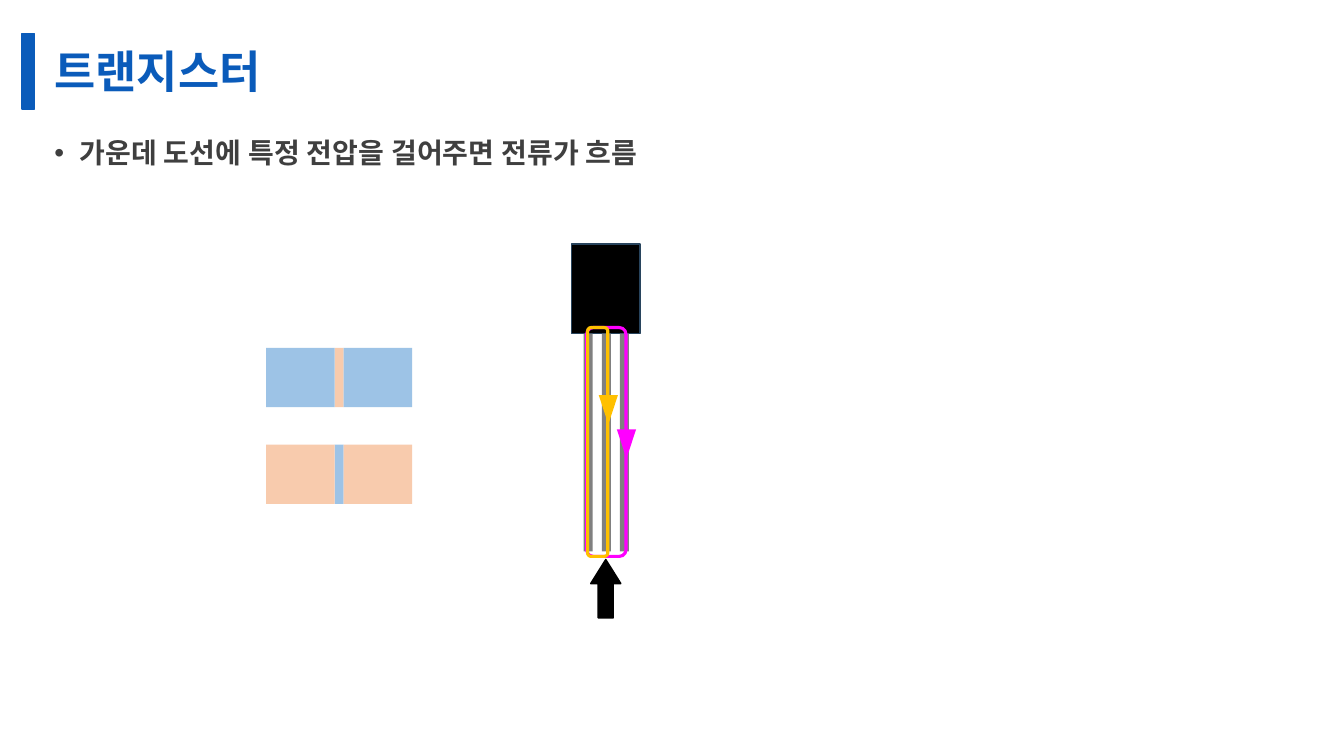
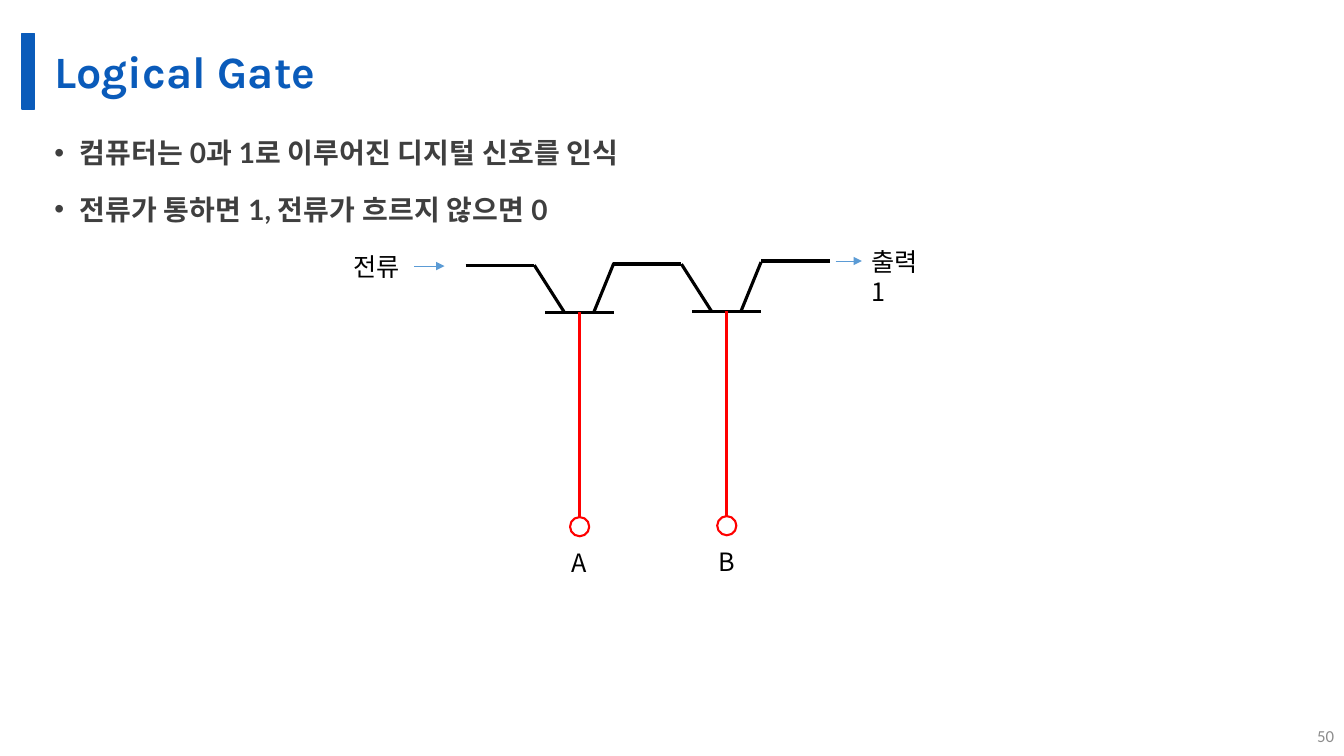
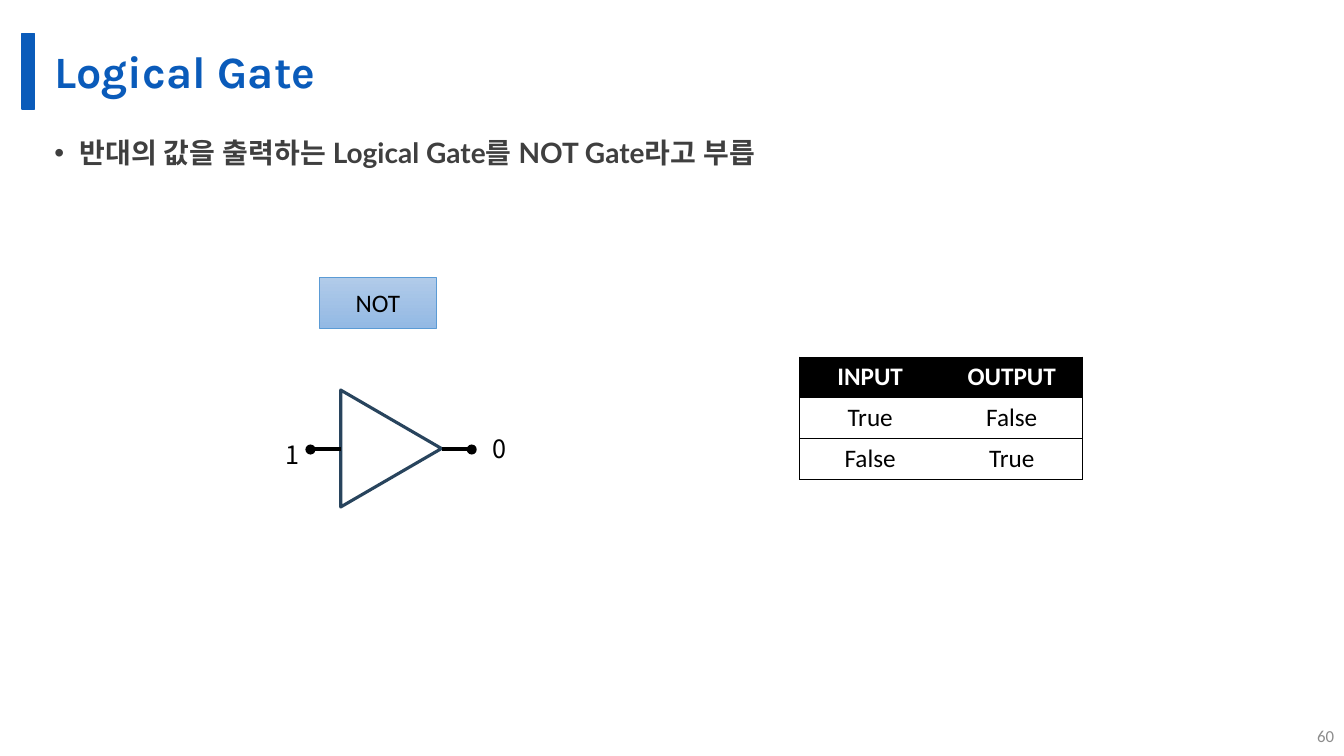
from lxml import etree
from pptx import Presentation
from pptx.dml.color import RGBColor
from pptx.enum.shapes import MSO_CONNECTOR, MSO_SHAPE
from pptx.enum.text import MSO_ANCHOR, PP_ALIGN
from pptx.oxml.ns import qn
from pptx.util import Inches, Pt

RECT = MSO_SHAPE.RECTANGLE
ROUNDED = MSO_SHAPE.ROUNDED_RECTANGLE
TRIANGLE = MSO_SHAPE.ISOSCELES_TRIANGLE
OVAL = MSO_SHAPE.OVAL
UP_ARROW = MSO_SHAPE.UP_ARROW
STRAIGHT = MSO_CONNECTOR.STRAIGHT
TOP, MIDDLE = MSO_ANCHOR.TOP, MSO_ANCHOR.MIDDLE
LEFT, CENTER, RIGHT = PP_ALIGN.LEFT, PP_ALIGN.CENTER, PP_ALIGN.RIGHT

BRAND = RGBColor(0x0A, 0x5B, 0xBA)
INK = RGBColor(0x3F, 0x3F, 0x3F)
MUTED = RGBColor(0x8C, 0x8C, 0x8C)
BLACK = RGBColor(0, 0, 0)
WHITE = RGBColor(0xFF, 0xFF, 0xFF)
LEAD_GRAY = RGBColor(0x80, 0x80, 0x80)
NAVY = RGBColor(0x28, 0x44, 0x5D)
PEACH = RGBColor(0xF8, 0xCB, 0xAD)
SKY = RGBColor(0x9D, 0xC3, 0xE6)
MAGENTA = RGBColor(0xFF, 0, 0xFF)
AMBER = RGBColor(0xFF, 0xC0, 0)
RED = RGBColor(0xFF, 0, 0)
BLUE = RGBColor(0x5B, 0x9B, 0xD5)
BUTTON_TOP = RGBColor(0xB1, 0xCB, 0xE9)
BUTTON_BOTTOM = RGBColor(0x93, 0xB9, 0xE4)

TITLE_FONT, BODY_FONT = "Karla", "Lato"
LABEL_FONT, PLAIN_FONT = "Noto Sans CJK KR", "Calibri"

CELL = Inches(0.1)
COLUMNS, ROWS = 133.33, 75


def grid(*cells):
    return [round(cell * CELL) for cell in cells]


def set_font(para, name, size, color, bold=False):
    font = para.font
    font.name, font.size, font.bold = name, Pt(size), bold
    font.color.rgb = color
    defaults = para._p.find(".//" + qn("a:defRPr"))
    etree.SubElement(defaults, qn("a:ea")).set("typeface", name)


def add_text(page, at, text, name, size, color, bold=False, align=LEFT, anchor=TOP):
    box = page.shapes.add_textbox(*grid(*at))
    frame = box.text_frame
    frame.word_wrap, frame.vertical_anchor = True, anchor
    para = frame.paragraphs[0]
    para.text, para.alignment = text, align
    set_font(para, name, size, color, bold)
    return frame


def add_label(page, at, text):
    add_text(page, at, text, LABEL_FONT, 18, BLACK)


def add_bullets(page, lines):
    box = page.shapes.add_textbox(*grid(4.4, 12.5, 124.5, 59.2))
    frame = box.text_frame
    frame.word_wrap = True
    for index, line in enumerate(lines):
        para = frame.add_paragraph() if index else frame.paragraphs[0]
        para.text = line
        para.line_spacing = 1.14
        para.space_before, para.space_after = Pt(10 if index else 0), Pt(3)
        props = para._p.get_or_add_pPr()
        props.set("marL", str(Inches(0.25)))
        props.set("indent", str(-Inches(0.25)))
        etree.SubElement(props, qn("a:buFont")).set("typeface", "Arial")
        etree.SubElement(props, qn("a:buChar")).set("char", "•")
        set_font(para, BODY_FONT, 20, INK, True)


def add_figure(page, kind, at, fill=None, line=None, weight=1, turn=0):
    shape = page.shapes.add_shape(kind, *grid(*at))
    shape.shadow.inherit = False
    shape.rotation = turn
    if fill is None:
        shape.fill.background()
    else:
        shape.fill.solid()
        shape.fill.fore_color.rgb = fill
    if line is None:
        shape.line.fill.background()
    else:
        shape.line.color.rgb = line
        shape.line.width = Pt(weight)
    return shape


def add_line(page, start, end, color=BLACK, weight=2.25, arrow=False):
    line = page.shapes.add_connector(STRAIGHT, *grid(*start, *end))
    line.line.color.rgb, line.line.width = color, Pt(weight)
    if arrow:
        etree.SubElement(line.line._get_or_add_ln(), qn("a:tailEnd")).set("type", "triangle")
    etree.SubElement(line._element.spPr, qn("a:effectLst"))
    return line


def add_page(deck, title, bullets, number=None):
    page = deck.slides.add_slide(deck.slide_layouts[6])
    add_figure(page, RECT, (2.2, 3.3, 1.2, 7.5), BRAND, BRAND)
    frame = add_text(page, (4.4, 3.3, 124.5, 7.5), title, TITLE_FONT, 32, BRAND, True,
                     anchor=MIDDLE)
    frame.margin_bottom = 0
    frame.paragraphs[0].line_spacing = 0.9
    add_bullets(page, bullets)
    if number:
        add_text(page, (COLUMNS - 4.4, ROWS - 4, 4.4, 4), number, PLAIN_FONT, 12, MUTED,
                 align=RIGHT, anchor=MIDDLE)
    return page


def add_junction(page, top, outer, inner):
    left, side, gap, height = 26.4, 6.8, 0.9, 5.9
    add_figure(page, RECT, (left + side, top, gap, height), inner)
    for start in (left, left + side + gap):
        add_figure(page, RECT, (start, top, side, height), outer)


def add_current(page, left, width, arrow_top, color):
    add_figure(page, ROUNDED, (left, 32.5, width, 22.7), line=color, weight=2.25)
    arrow_left = left + width - 0.9
    add_figure(page, TRIANGLE, (arrow_left, arrow_top, 1.9, 2.9), color, turn=180)


def add_switch(page, left, top, name):
    base, center, exit_x = top + 4.7, left + 11.3, left + 14.7
    add_line(page, (left, top), (left + 6.8, top))
    add_line(page, (left + 7.9, base), (exit_x, base))
    add_line(page, (left + 6.8, top), (left + 9.8, base))
    add_line(page, (exit_x, top - 0.2), (left + 12.7, base))
    terminal = add_figure(page, OVAL, (center - 0.95, top + 25, 1.9, 1.9), line=RED, weight=1.5)
    control = add_line(page, (center, top + 25), (center, base), RED)
    control.begin_connect(terminal, 0)
    add_label(page, (center - 1.8, top + 27.5, 3.7, 4), name)


def set_borders(cell, edges):
    props = cell._tc.get_or_add_tcPr()
    for index, side in enumerate("LRTB"):
        border = etree.Element(qn("a:ln" + side), w=str(Pt(0.5)))
        if side in edges:
            fill = etree.SubElement(border, qn("a:solidFill"))
            etree.SubElement(fill, qn("a:srgbClr")).set("val", str(BLACK))
        else:
            etree.SubElement(border, qn("a:noFill"))
        props.insert(index, border)


def add_truth_table(page, at, rows):
    table = page.shapes.add_table(len(rows), len(rows[0]), *grid(*at)).table
    table.horz_banding = False
    for row_index, values in enumerate(rows):
        header = row_index == 0
        for column_index, value in enumerate(values):
            cell = table.cell(row_index, column_index)
            if header:
                cell.fill.solid()
                cell.fill.fore_color.rgb = BLACK
            else:
                cell.fill.background()
            set_borders(cell, "TB" + ("R" if column_index else "L"))
            para = cell.text_frame.paragraphs[0]
            para.text, para.alignment = value, CENTER
            set_font(para, PLAIN_FONT, 18, WHITE if header else BLACK, header)


def add_button(page, at, text):
    button = add_figure(page, RECT, at, line=BLUE, weight=0.5)
    button.fill.gradient()
    button.fill.gradient_angle = 270
    for stop, color in zip(button.fill.gradient_stops, (BUTTON_TOP, BUTTON_BOTTOM)):
        stop.color.rgb = color
    button.text_frame.vertical_anchor = MIDDLE
    para = button.text_frame.paragraphs[0]
    para.text, para.alignment = text, CENTER
    set_font(para, PLAIN_FONT, 18, BLACK)


def build_transistor(deck):
    page = add_page(deck, "트랜지스터", ["가운데 도선에 특정 전압을 걸어주면 전류가 흐름"])
    add_figure(page, RECT, (56.7, 24.2, 6.8, 8.9), BLACK, NAVY)
    for lead in range(3):
        add_figure(page, RECT, (57.9 + 1.8 * lead, 33.1, 0.9, 21.6), LEAD_GRAY)
    add_junction(page, 34.5, SKY, PEACH)
    add_junction(page, 44.1, PEACH, SKY)
    arrow = add_figure(page, UP_ARROW, (58.6, 55.5, 3, 5.8), BLACK, BLACK)
    arrow.adjustments[0], arrow.adjustments[1] = 0.5, 0.8
    add_current(page, 58.2, 3.9, 42.6, MAGENTA)
    add_current(page, 58.3, 2, 39.2, AMBER)


def build_signals(deck):
    page = add_page(deck, "Logical Gate", [
        "컴퓨터는 0과 1로 이루어진 디지털 신호를 인식",
        "전류가 통하면 1, 전류가 흐르지 않으면 0",
    ], "50")
    add_switch(page, 46.2, 26.3, "A")
    add_switch(page, 60.8, 26.2, "B")
    add_line(page, (75.5, 25.9), (82.3, 25.9))
    add_label(page, (34.1, 24.4, 7.1, 4), "전류")
    add_line(page, (41.1, 26.4), (44.1, 26.4), BLUE, 0.5, True)
    add_line(page, (82.9, 25.9), (85.5, 25.9), BLUE, 0.5, True)
    add_label(page, (85.5, 23.9, 8, 4), "출력 1")


def build_not_gate(deck):
    page = add_page(deck, "Logical Gate",
                    ["반대의 값을 출력하는 Logical Gate를 NOT Gate라고 부릅"], "60")
    add_truth_table(page, (79.3, 35.4, 28.1, 12.2),
                    [("INPUT", "OUTPUT"), ("True", "False"), ("False", "True")])
    add_button(page, (31.7, 27.5, 11.6, 5.1), "NOT")
    add_figure(page, TRIANGLE, (33, 39.5, 11.6, 10), line=NAVY, weight=2.25, turn=90)
    for inner, outer in ((43.8, 46.8), (33.8, 30.8)):
        add_line(page, (outer, 44.55), (inner, 44.55))
        add_figure(page, OVAL, (outer - 0.5, 44.1, 1, 1), BLACK)
    add_label(page, (27.3, 43.1, 3.6, 4), "1")
    add_label(page, (47.9, 42.5, 3.6, 4), "0")


def main():
    deck = Presentation()
    deck.slide_width, deck.slide_height = grid(COLUMNS, ROWS)
    build_transistor(deck)
    build_signals(deck)
    build_not_gate(deck)
    deck.save("out.pptx")


if __name__ == "__main__":
    main()
